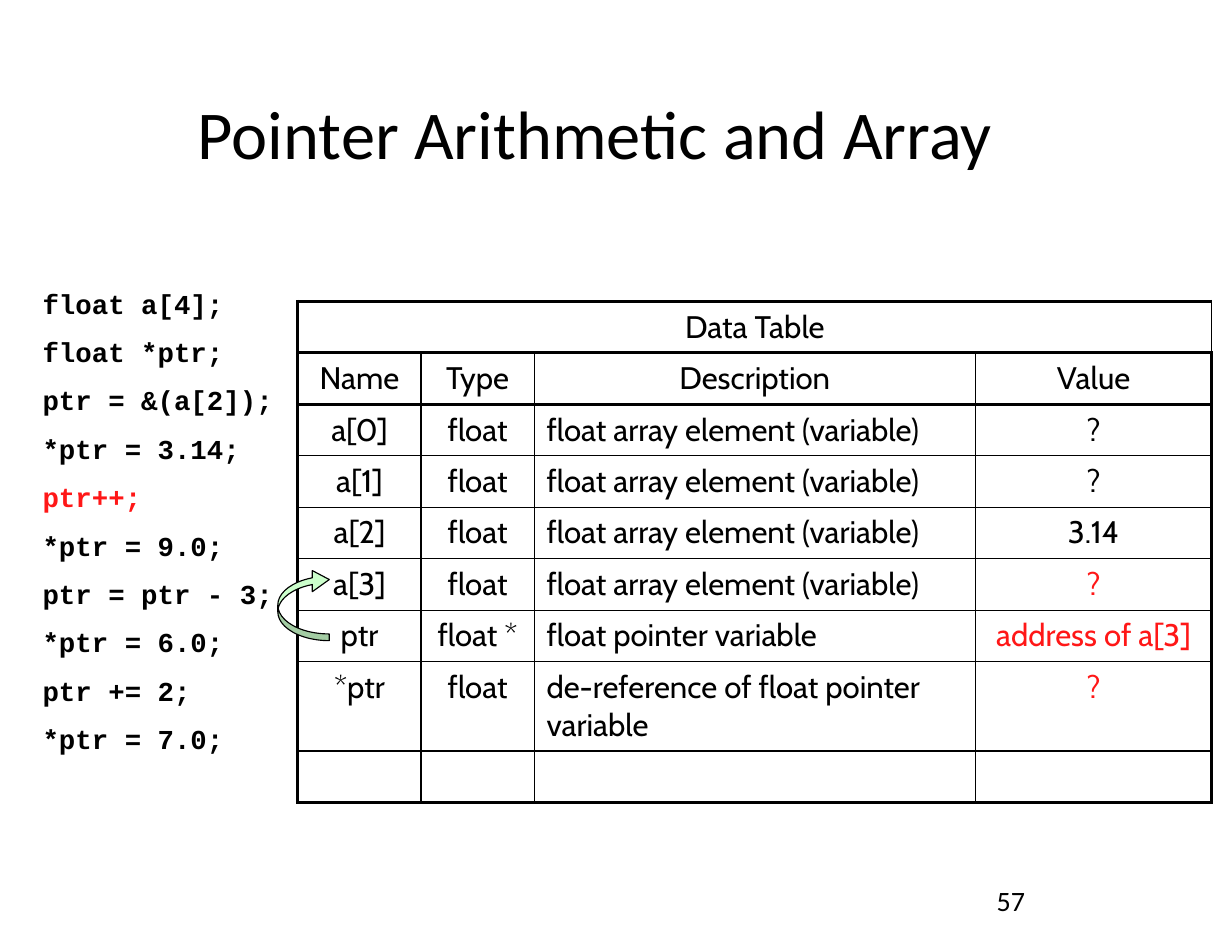
import lxml.etree
import pptx
import pptx.dml.color
import pptx.enum.shapes
import pptx.enum.text
import pptx.oxml.ns
import pptx.util
from pptx.util import Inches

BLACK = "000000"
RED = "FF1717"
THICK, THIN = 2.25, 1
CENTER = pptx.enum.text.PP_ALIGN.CENTER
LEFT = pptx.enum.text.PP_ALIGN.LEFT

CODE = [
    "float a[4];", "float *ptr;", "ptr = &(a[2]);", "*ptr = 3.14;", "ptr++;",
    "*ptr = 9.0;", "ptr = ptr - 3;", "*ptr = 6.0;", "ptr += 2;", "*ptr = 7.0;",
]
CURRENT_STATEMENT = "ptr++;"

ELEMENT = "float array element (variable)"
DATA = [
    ("Data Table", "", "", ""),
    ("Name", "Type", "Description", "Value"),
    ("a[0]", "float", ELEMENT, "?"),
    ("a[1]", "float", ELEMENT, "?"),
    ("a[2]", "float", ELEMENT, "3.14"),
    ("a[3]", "float", ELEMENT, "?"),
    ("ptr", "float *", "float pointer variable", "address of a[3]"),
    ("*ptr", "float", "de-reference of float pointer variable", "?"),
    ("", "", "", ""),
]
COLUMN_WIDTHS = [1.1, 1.01, 3.94, 2.11]
ROW_HEIGHTS = [0.46, 0.46, 0.44, 0.46, 0.46, 0.46, 0.46, 0.77, 0.44]
HEADER_ROWS = 2
CHANGED_ROWS = (5, 6, 7)
DESCRIPTION, VALUE = 2, 3


def rgb(color):
    return pptx.dml.color.RGBColor.from_string(color)


def style(paragraph, face, size, color=BLACK, align=LEFT, bold=False):
    paragraph.alignment = align
    paragraph.font.name = face
    paragraph.font.size = pptx.util.Pt(size)
    paragraph.font.bold = bold
    paragraph.font.color.rgb = rgb(color)


def place(shape, left, top, width, height):
    shape.left, shape.top = Inches(left), Inches(top)
    shape.width, shape.height = Inches(width), Inches(height)
    frame = shape.text_frame
    frame.word_wrap = True
    frame.auto_size = pptx.enum.text.MSO_AUTO_SIZE.NONE
    frame.vertical_anchor = pptx.enum.text.MSO_ANCHOR.TOP
    return frame


def add_title(slide):
    heading = place(slide.shapes.title, 0.64, 0.76, 9.35, 1.42)
    heading.text = "Pointer Arithmetic and Array"
    style(heading.paragraphs[0], "Calibri", 44, align=CENTER)


def add_code(slide):
    listing = place(slide.placeholders[1], 0.28, 2.51, 10.27, 4.4)
    listing.text = "\n".join(CODE)
    for index, statement in enumerate(listing.paragraphs):
        properties = statement._p.get_or_add_pPr()
        properties.set("marL", "0")
        properties.set("indent", "0")
        lxml.etree.SubElement(properties, pptx.oxml.ns.qn("a:buNone"))
        statement.space_before = pptx.util.Pt(10 if index else 0)
        color = RED if statement.text == CURRENT_STATEMENT else BLACK
        style(statement, "Courier New", 17.6, color, bold=True)


def set_borders(cell, left, right, top, bottom):
    properties = cell._tc.get_or_add_tcPr()
    sides = zip("LRTB", (left, right, top, bottom))
    for index, (side, weight) in enumerate(sides):
        border = lxml.etree.Element(pptx.oxml.ns.qn(f"a:ln{side}"), w=str(pptx.util.Pt(weight)))
        fill = lxml.etree.SubElement(border, pptx.oxml.ns.qn("a:solidFill"))
        lxml.etree.SubElement(fill, pptx.oxml.ns.qn("a:srgbClr"), val=BLACK)
        properties.insert(index, border)


def fill_cell(cell, row, column):
    cell.fill.background()
    cell.margin_left = cell.margin_right = Inches(0.11)
    cell.margin_top = cell.margin_bottom = Inches(0.06)
    cell.text = DATA[row][column]
    color = RED if row in CHANGED_ROWS and column == VALUE else BLACK
    is_description = column == DESCRIPTION and row >= HEADER_ROWS
    style(cell.text_frame.paragraphs[0], "Cabin", 20, color, LEFT if is_description else CENTER)
    set_borders(
        cell,
        left=THICK if column == 0 else THIN,
        right=THICK if column == VALUE else THIN,
        top=THICK if row <= HEADER_ROWS else THIN,
        bottom=THICK if row < HEADER_ROWS or row == len(DATA) - 1 else THIN,
    )


def add_data_table(slide):
    table = slide.shapes.add_table(
        len(DATA), len(COLUMN_WIDTHS), Inches(2.66), Inches(2.69),
        Inches(sum(COLUMN_WIDTHS)), Inches(sum(ROW_HEIGHTS)),
    ).table
    table.first_row = table.horz_banding = False
    for column, width in zip(table.columns, COLUMN_WIDTHS):
        column.width = Inches(width)
    for row, height in zip(table.rows, ROW_HEIGHTS):
        row.height = Inches(height)
    for row in range(len(DATA)):
        for column in range(len(COLUMN_WIDTHS)):
            fill_cell(table.cell(row, column), row, column)
    table.cell(0, 0).merge(table.cell(0, VALUE))


def add_pointer_arrow(slide):
    pointer = slide.shapes.add_shape(
        pptx.enum.shapes.MSO_SHAPE.CURVED_LEFT_ARROW,
        Inches(2.48), Inches(5.08), Inches(0.46), Inches(0.64),
    )
    pointer.rotation = 180
    for index, value in enumerate((0.13, 0.41, 0.33)):
        pointer.adjustments[index] = value
    pointer.shadow.inherit = False
    pointer.fill.solid()
    pointer.fill.fore_color.rgb = rgb("CCFFCC")
    pointer.line.color.rgb = rgb(BLACK)
    pointer.line.width = pptx.util.Pt(0.75)


def add_page_number(slide):
    page_number = place(slide.shapes.add_textbox(0, 0, 0, 0), 8.8, 7.84, 2.29, 0.57)
    page_number.text = "57"
    style(page_number.paragraphs[0], "Calibri", 18)


def main():
    deck = pptx.Presentation()
    deck.slide_width, deck.slide_height = Inches(11), Inches(8.5)
    slide = deck.slides.add_slide(deck.slide_layouts[1])
    add_page_number(slide)
    add_title(slide)
    add_code(slide)
    add_data_table(slide)
    add_pointer_arrow(slide)
    deck.save("out.pptx")


if __name__ == "__main__":
    main()
